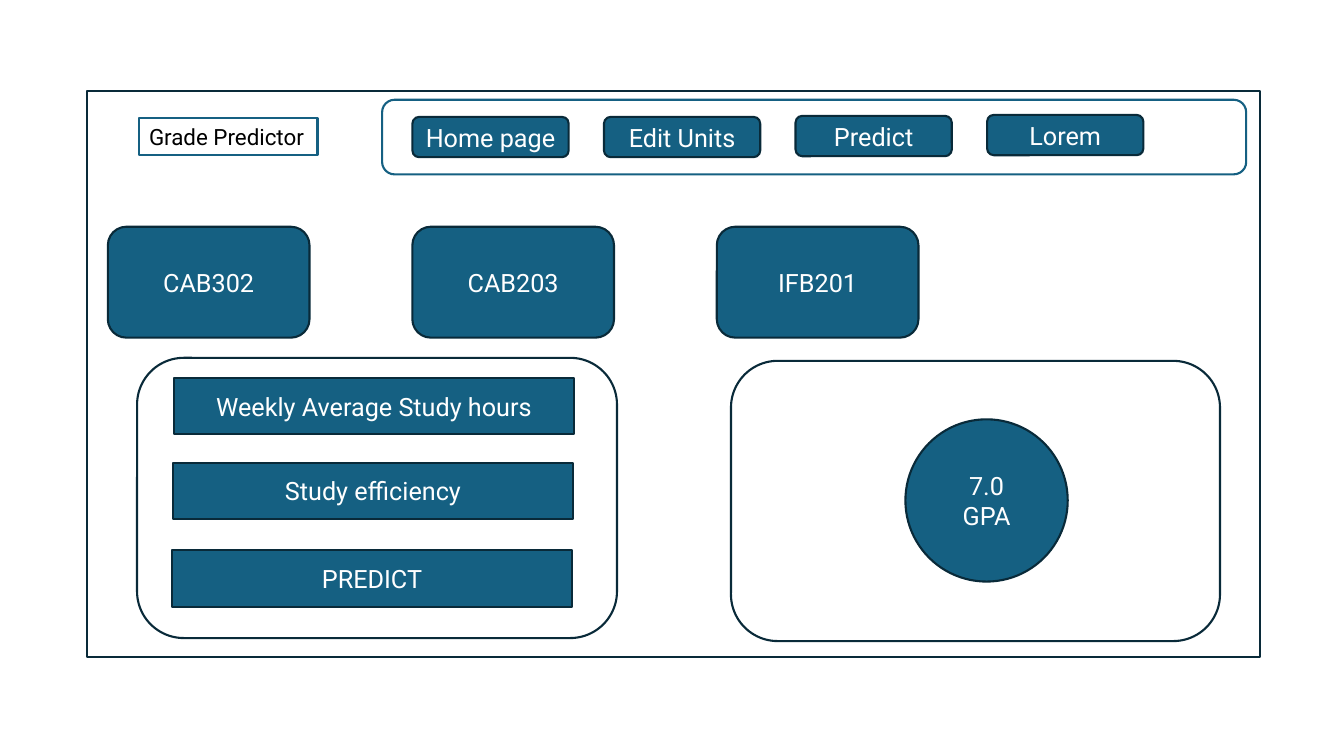
import pptx
import pptx.util
import pptx.dml.color
import pptx.enum.shapes
import pptx.enum.text

Inches = pptx.util.Inches
SHAPES = pptx.enum.shapes.MSO_SHAPE
ALIGN = pptx.enum.text.PP_ALIGN
ANCHOR = pptx.enum.text.MSO_ANCHOR

# Content
TITLE = "Grade Predictor"
UNITS = ["CAB302", "CAB203", "IFB201"]
MENU = [("Home page", 1.16), ("Edit Units", 1.16), ("Predict", 1.15), ("Lorem", 1.14)]
FIELDS = [
    ("Weekly Average Study hours", 1.73, 3.75),
    ("Study efficiency", 1.72, 4.59),
    ("PREDICT", 1.71, 5.46),
]
RESULT = "7.0\nGPA"
PANELS = [(1.36, 3.55, 4.76, 2.78), (7.25, 3.58, 4.85, 2.78)]

# Style
FONT = "Roboto"
BLUE, NAVY, WHITE, BLACK = "156082", "092A39", "FFFFFF", "000000"


def color(value):
    return pptx.dml.color.RGBColor.from_string(value)


def add_box(kind, left, top, width, height, fill=BLUE, line=NAVY):
    shape = slide.shapes.add_shape(
        kind, Inches(left), Inches(top), Inches(width), Inches(height))
    shape.shadow.inherit = False
    if fill:
        shape.fill.solid()
        shape.fill.fore_color.rgb = color(fill)
    else:
        shape.fill.background()
    shape.line.color.rgb = color(line)
    shape.line.width = pptx.util.Pt(1.5)
    return shape


def write(shape, text, size=18, ink=WHITE, align=ALIGN.CENTER,
          anchor=ANCHOR.MIDDLE, wrap=True):
    frame = shape.text_frame
    frame.word_wrap = wrap
    frame.vertical_anchor = anchor
    paragraph = frame.paragraphs[0]
    paragraph.text = text.replace("\n", "\v")
    paragraph.alignment = align
    for run in paragraph.runs:
        run.font.name = FONT
        run.font.size = pptx.util.Pt(size)
        run.font.color.rgb = color(ink)


presentation = pptx.Presentation()
presentation.slide_width = Inches(13.33)
presentation.slide_height = Inches(7.5)
slide = presentation.slides.add_slide(presentation.slide_layouts[6])

# Window frame
add_box(SHAPES.RECTANGLE, 0.86, 0.9, 11.64, 5.62, fill=None)

# Unit cards
for index, unit in enumerate(UNITS):
    write(add_box(SHAPES.ROUNDED_RECTANGLE, 1.07 + 3.02 * index, 2.25, 2, 1.1), unit)

# Navigation bar
add_box(SHAPES.ROUNDED_RECTANGLE, 3.79, 0.99, 8.57, 0.74, fill=WHITE, line=BLUE)
for index, (label, top) in enumerate(MENU):
    write(add_box(SHAPES.ROUNDED_RECTANGLE, 4.09 + 1.9 * index, top, 1.55, 0.4), label)

# Application title
title = add_box(SHAPES.RECTANGLE, 1.38, 1.17, 1.77, 0.37, fill=WHITE, line=BLUE)
write(title, TITLE, size=16, ink=BLACK, align=ALIGN.LEFT, anchor=ANCHOR.TOP, wrap=False)
title.text_frame.auto_size = pptx.enum.text.MSO_AUTO_SIZE.SHAPE_TO_FIT_TEXT

# Input and result panels
for panel in PANELS:
    add_box(SHAPES.ROUNDED_RECTANGLE, *panel, fill=None)
for label, left, top in FIELDS:
    write(add_box(SHAPES.RECTANGLE, left, top, 3.96, 0.56), label)
write(add_box(SHAPES.OVAL, 8.98, 4.16, 1.61, 1.61), RESULT)

presentation.save("out.pptx")
